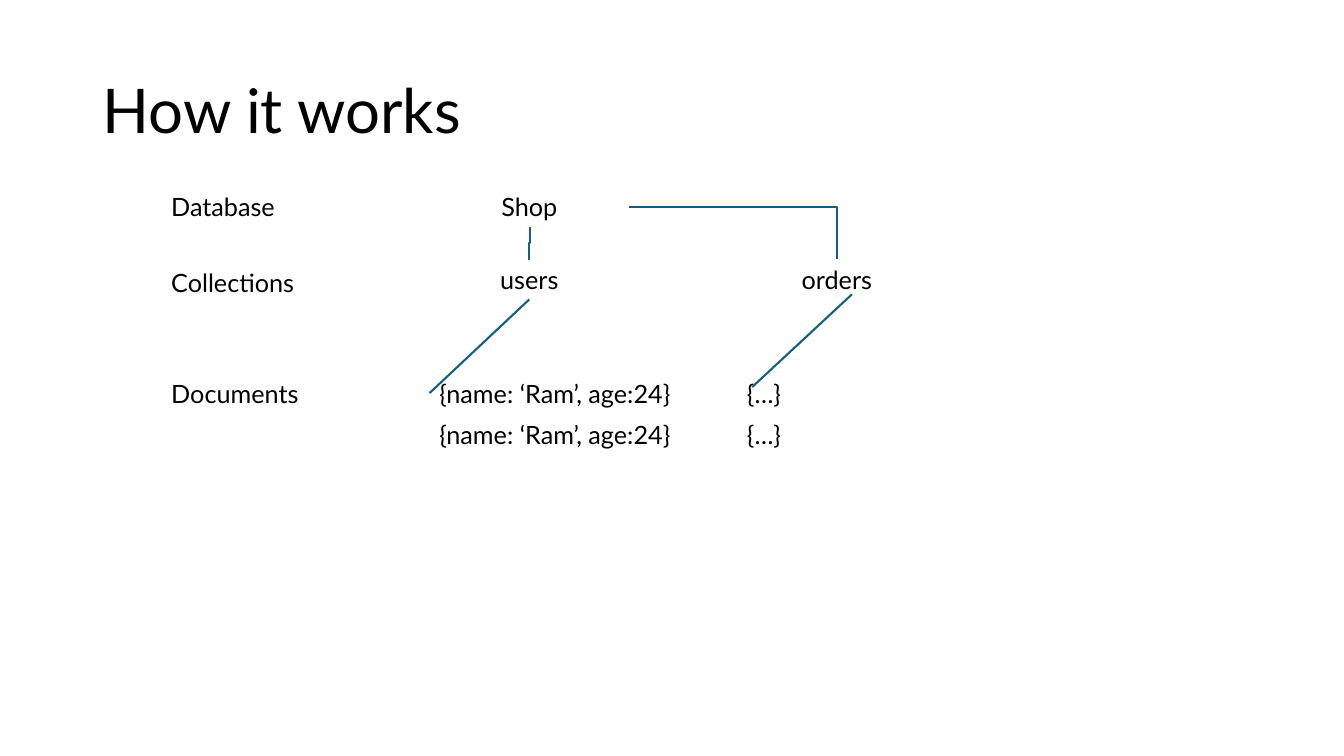
"""Build the slide that shows how a database, its collections and documents relate."""
from dataclasses import dataclass
from typing import Optional

import pptx
import pptx.dml.color
import pptx.enum.shapes
import pptx.enum.text
import pptx.oxml.ns
import pptx.util
from lxml import etree
from pptx.enum.shapes import MSO_CONNECTOR
from pptx.enum.text import PP_ALIGN

PX = 9144


@dataclass(frozen=True)
class Theme:
    font: str = "Lato"
    ink: str = "000000"
    line: str = "156082"
    title_size: int = 44
    body_size: int = 18
    line_width: float = 1.5


@dataclass(frozen=True)
class Label:
    text: str
    left: int
    top: int
    width: int = 198
    align: PP_ALIGN = PP_ALIGN.LEFT


@dataclass(frozen=True)
class Link:
    start: tuple[int, int]
    end: tuple[int, int]
    preset: Optional[str] = None
    degrees: int = 0


THEME = Theme()
LEVEL_LEFT, USERS_LEFT, ORDERS_LEFT = 160, 426, 731
DATABASE_TOP, COLLECTION_TOP, DOCUMENT_TOP = 185, 257, 370
DOCUMENT_STEP, DOCUMENT_WIDTH, LABEL_HEIGHT = 41, 271, 40

LEVELS = [
    Label("Database", LEVEL_LEFT, DATABASE_TOP),
    Label("Collections", LEVEL_LEFT, 260),
    Label("Documents", LEVEL_LEFT, DOCUMENT_TOP),
]
SHOP = Label("Shop", USERS_LEFT, DATABASE_TOP, align=PP_ALIGN.CENTER)
USERS = Label("users", USERS_LEFT, COLLECTION_TOP, align=PP_ALIGN.CENTER)
ORDERS = Label("orders", ORDERS_LEFT, COLLECTION_TOP, align=PP_ALIGN.CENTER)
DOCUMENTS = [
    Label(text, left, DOCUMENT_TOP + row * DOCUMENT_STEP, DOCUMENT_WIDTH)
    for text, left in (("{name: ‘Ram’, age:24}", USERS_LEFT), ("{…}", ORDERS_LEFT))
    for row in range(2)
]
SHOP_TO_USERS = Link((509, 241), (541, 242), "bentConnector3", 90)
SHOP_TO_ORDERS = Link((624, 205), (830, 257), "bentConnector2")
USERS_TO_DOCUMENT = Link((525, 297), (426, 390))
ORDERS_TO_DOCUMENT = Link((845, 292), (746, 384))


def px(length: int) -> pptx.util.Emu:
    return pptx.util.Emu(length * PX)


def add_label(page, label: Label, height: int = LABEL_HEIGHT, size: int = THEME.body_size):
    box = page.shapes.add_textbox(px(label.left), px(label.top), px(label.width), px(height))
    box.text_frame.word_wrap = True
    para = box.text_frame.paragraphs[0]
    para.text = label.text
    para.alignment = label.align
    para.font.name = THEME.font
    para.font.size = pptx.util.Pt(size)
    para.font.color.rgb = pptx.dml.color.RGBColor.from_string(THEME.ink)
    return box


def add_title(page, text: str) -> None:
    box = add_label(page, Label(text, 92, 40, 1150), 145, THEME.title_size)
    box.text_frame.vertical_anchor = pptx.enum.text.MSO_ANCHOR.MIDDLE
    box.text_frame.paragraphs[0].line_spacing = 0.9


def add_link(page, link: Link):
    kind = MSO_CONNECTOR.ELBOW if link.preset else MSO_CONNECTOR.STRAIGHT
    connector = page.shapes.add_connector(kind, *map(px, link.start + link.end))
    connector.line.color.rgb = pptx.dml.color.RGBColor.from_string(THEME.line)
    connector.line.width = pptx.util.Pt(THEME.line_width)
    properties = connector._element.spPr
    etree.SubElement(properties, pptx.oxml.ns.qn("a:effectLst"))
    if link.preset:
        properties.find(pptx.oxml.ns.qn("a:prstGeom")).set("prst", link.preset)
    if link.degrees:
        properties.find(pptx.oxml.ns.qn("a:xfrm")).set("rot", str(link.degrees * 60000))
    return connector


def main() -> None:
    deck = pptx.Presentation()
    deck.slide_width, deck.slide_height = px(1333), px(750)
    page = deck.slides.add_slide(deck.slide_layouts[6])
    add_title(page, "How it works")
    for label in [*LEVELS, SHOP, ORDERS]:
        add_label(page, label)
    users = add_label(page, USERS)
    documents = [add_label(page, label) for label in DOCUMENTS]
    for link in (SHOP_TO_USERS, SHOP_TO_ORDERS, ORDERS_TO_DOCUMENT):
        add_link(page, link)
    joined = add_link(page, USERS_TO_DOCUMENT)
    joined.begin_connect(users, 2)
    joined.end_connect(documents[0], 1)
    deck.save("out.pptx")


if __name__ == "__main__":
    main()
